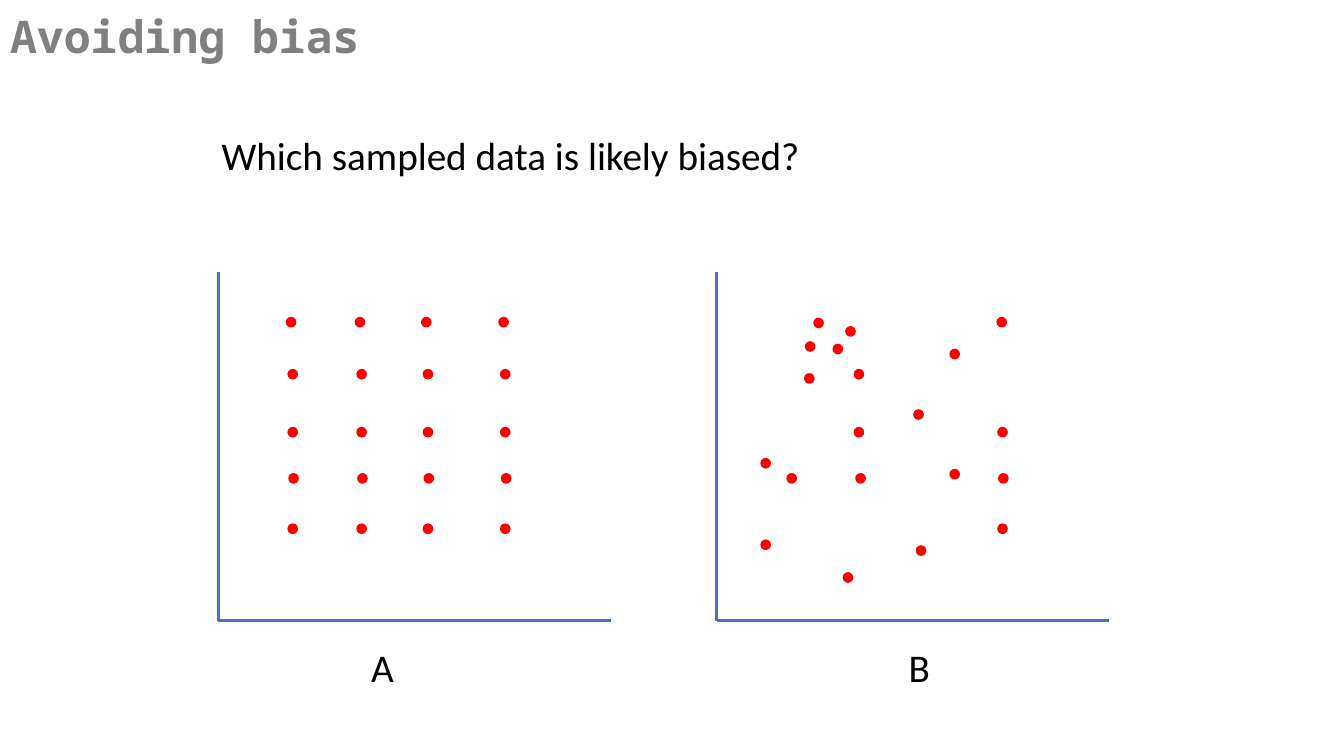
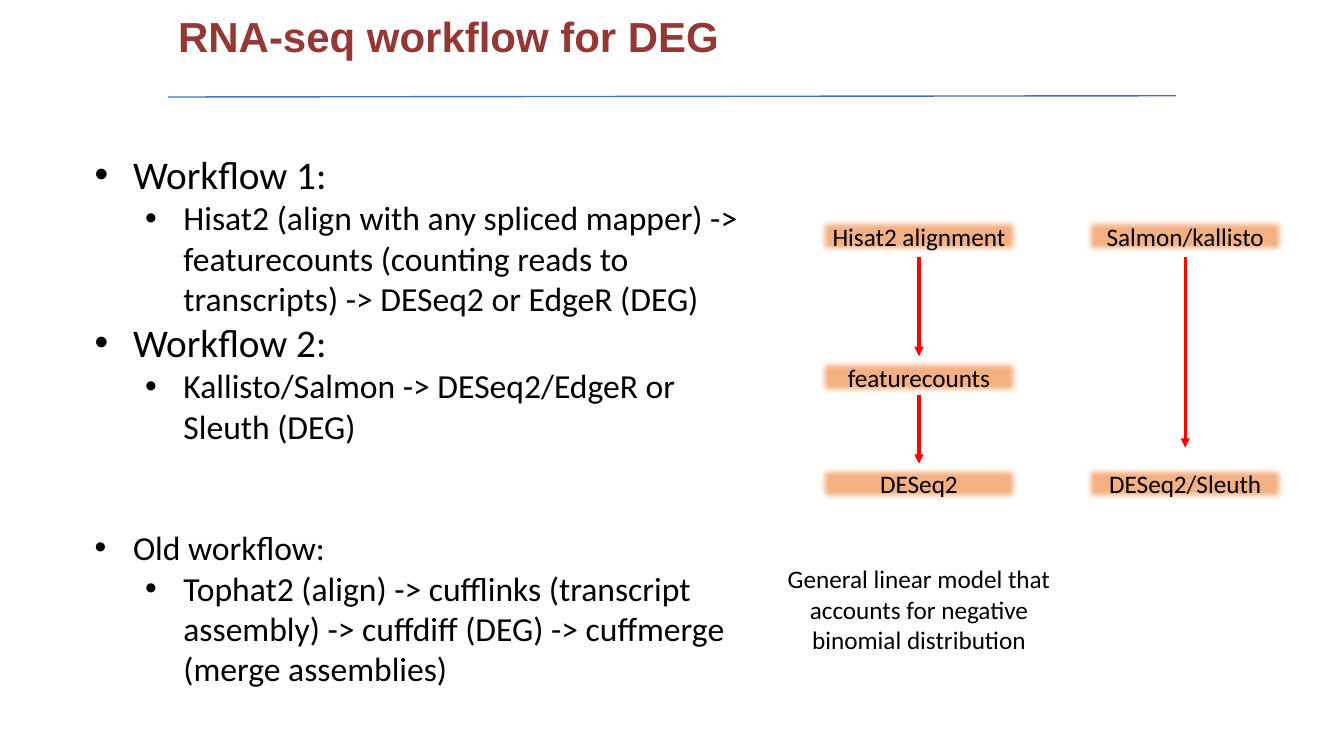
"""Builds two slides, on sampling bias and on an RNA-seq workflow."""
from dataclasses import dataclass
from itertools import product

from lxml import etree
from pptx import Presentation
from pptx import util as u
from pptx.dml.color import RGBColor
from pptx.enum import shapes, text
from pptx.oxml import ns

COLUMNS, ROWS = 160, 90
CELL = u.Inches(7.5) / ROWS


@dataclass(frozen=True)
class Theme:
    """Colours, fonts and type sizes in points."""
    ink: str = "000000"
    accent: str = "4472C4"
    red: str = "FF0000"
    step: str = "F4B183"
    body_font: str = "Calibri"
    large: int = 28
    medium: int = 24
    small: int = 18


@dataclass(frozen=True)
class Box:
    """A place on the grid, in columns and rows."""
    left: float
    top: float
    width: float
    height: float


@dataclass(frozen=True)
class Heading:
    """A slide title with its own style."""
    wording: str
    box: Box
    font: str
    size: int
    color: str
    spacing: float = 1.0


@dataclass(frozen=True)
class Panel:
    """A pair of axes with dots placed from the top of its vertical axis."""
    letter: str
    left: float
    letter_offset: float
    dots: tuple


@dataclass(frozen=True)
class Bullet:
    """One line of the workflow list."""
    wording: str
    size: int
    level: int = 0
    before: int = 0


@dataclass(frozen=True)
class Arrow:
    """A vertical arrow between two steps."""
    column: float
    start: float
    end: float


THEME = Theme()

BIAS = Heading("Avoiding bias", Box(0, 1.1, 158, 16.4), "Noto Sans Mono", 32, "808080", 0.9)
WORKFLOW = Heading("RNA-seq workflow for DEG", Box(20, 0.6, 122, 7.3), "Arial", 30, "953735")

AXIS_TOP, AXIS_BOTTOM, AXIS_WIDTH, DOT = 32.4, 73.9, 46.7, 1.1
EVEN_COLUMNS = (8.1, 16.3, 24.2, 33.4)
EVEN_ROWS = ((5.4, 0), (11.6, 0.2), (18.5, 0.2), (24, 0.3), (30, 0.2))
EVEN_DOTS = tuple((x + nudge, y) for x, (y, nudge) in product(EVEN_COLUMNS, EVEN_ROWS))
SCATTERED_DOTS = (
    (10.6, 8.3), (10.5, 12.1), (5.3, 22.2), (8.4, 24), (5.3, 31.9),
    (11.6, 5.5), (16.4, 11.6), (16.4, 18.5), (16.6, 24), (15.1, 35.8),
    (15.4, 6.5), (23.5, 16.4), (13.9, 8.6), (27.8, 23.5), (23.8, 32.6),
    (33.4, 5.4), (27.8, 9.2), (33.5, 18.5), (33.6, 24), (33.5, 30),
)
PANELS = (Panel("A", 26, 17, EVEN_DOTS), Panel("B", 85.3, 21.7, SCATTERED_DOTS))

BULLETS = (
    Bullet("Workflow 1:", THEME.large),
    Bullet("Hisat2 (align with any spliced mapper) -> featurecounts (counting reads to "
           "transcripts) -> DESeq2 or EdgeR (DEG)", THEME.medium, 1),
    Bullet("Workflow 2:", THEME.large),
    Bullet("Kallisto/Salmon -> DESeq2/EdgeR or Sleuth (DEG)", THEME.medium, 1),
    Bullet("Old workflow:", THEME.medium, before=58),
    Bullet("Tophat2 (align) -> cufflinks (transcript assembly) -> cuffdiff (DEG) -> "
           "cuffmerge (merge assemblies)", THEME.medium, 1),
)

STEP_WIDTH, STEP_HEIGHT = 24.4, 4.8
FIRST, SECOND, THIRD = 25.7, 42.5, 55.2
ALIGNED, PSEUDO = 97.2, 128.9
STEPS = (
    ("Hisat2 alignment", ALIGNED, FIRST),
    ("featurecounts", ALIGNED, SECOND),
    ("DESeq2", ALIGNED, THIRD),
    ("Salmon/kallisto", PSEUDO, FIRST),
    ("DESeq2/Sleuth", PSEUDO, THIRD),
)
ARROWS = (Arrow(ALIGNED, 30.6, 42.4), Arrow(ALIGNED, 47, 55.2), Arrow(PSEUDO, 30.6, 53.3))


def cells(*counts: float) -> list:
    """Turn grid counts into lengths."""
    return [u.Emu(round(count * CELL)) for count in counts]


def place(box: Box) -> list:
    """Give a box as left, top, width and height."""
    return cells(box.left, box.top, box.width, box.height)


def child(parent, tag: str, **attributes: str):
    """Append a DrawingML element."""
    return etree.SubElement(parent, ns.qn(tag), attributes)


def style(paragraph, size: int, color: str = THEME.ink, font: str = THEME.body_font,
          bold: bool = False) -> None:
    """Set the font of a paragraph."""
    paragraph.font.name = font
    paragraph.font.size = u.Pt(size)
    paragraph.font.bold = bold
    paragraph.font.color.rgb = RGBColor.from_string(color)


def add_heading(slide, heading: Heading) -> None:
    """Place and format the title placeholder."""
    title = slide.shapes.title
    title.left, title.top, title.width, title.height = place(heading.box)
    frame = title.text_frame
    frame.text = heading.wording
    frame.auto_size = text.MSO_AUTO_SIZE.NONE
    frame.vertical_anchor = text.MSO_ANCHOR.TOP
    paragraph = frame.paragraphs[0]
    paragraph.alignment = text.PP_ALIGN.LEFT
    paragraph.line_spacing = heading.spacing
    style(paragraph, heading.size, heading.color, heading.font, True)


def add_label(slide, wording: str, box: Box, size: int, align=text.PP_ALIGN.LEFT) -> None:
    """Add a wrapped one-paragraph text box."""
    frame = slide.shapes.add_textbox(*place(box)).text_frame
    frame.word_wrap = True
    frame.text = wording
    frame.paragraphs[0].alignment = align
    style(frame.paragraphs[0], size)


def add_line(slide, start: tuple, end: tuple, color: str, width: float, arrow: bool = False) -> None:
    """Draw a straight line, with an arrowhead at its end if asked."""
    line = slide.shapes.add_connector(shapes.MSO_CONNECTOR.STRAIGHT, *cells(*start, *end))
    line.line.color.rgb = RGBColor.from_string(color)
    line.line.width = u.Pt(width)
    if arrow:
        child(line.line._get_or_add_ln(), "a:tailEnd", type="triangle")
    child(line._element.spPr, "a:effectLst")


def add_filled(slide, kind, box: Box, color: str):
    """Add a filled shape without outline or shadow."""
    shape = slide.shapes.add_shape(kind, *place(box))
    shape.shadow.inherit = False
    shape.fill.solid()
    shape.fill.fore_color.rgb = RGBColor.from_string(color)
    shape.line.fill.background()
    return shape


def add_panel(slide, panel: Panel) -> None:
    """Draw the axes, dots and letter of one sample."""
    corner = (panel.left, AXIS_BOTTOM)
    for end in ((panel.left, AXIS_TOP), (panel.left + AXIS_WIDTH, AXIS_BOTTOM)):
        add_line(slide, end, corner, THEME.accent, 2.25)
    for x, y in panel.dots:
        dot = add_filled(slide, shapes.MSO_SHAPE.OVAL,
                         Box(panel.left + x, AXIS_TOP + y, DOT, DOT), THEME.red)
        dot.line.color.rgb = RGBColor.from_string(THEME.red)
        dot.line.width = u.Pt(1)
    add_label(slide, panel.letter, Box(panel.left + panel.letter_offset, 76, 7.3, 6.8), THEME.large)


def add_step(slide, wording: str, left: float, top: float) -> None:
    """Draw one soft-edged workflow step."""
    step = add_filled(slide, shapes.MSO_SHAPE.RECTANGLE,
                      Box(left, top, STEP_WIDTH, STEP_HEIGHT), THEME.step)
    child(step._element.spPr.find(ns.qn("a:effectLst")), "a:softEdge", rad="63500")
    step.text_frame.text = wording
    step.text_frame.paragraphs[0].alignment = text.PP_ALIGN.CENTER
    style(step.text_frame.paragraphs[0], THEME.small)


def add_bullets(slide, bullets: tuple, box: Box) -> None:
    """Write the two-level workflow list."""
    frame = slide.shapes.add_textbox(*place(box)).text_frame
    frame.word_wrap = True
    for index, bullet in enumerate(bullets):
        paragraph = frame.add_paragraph() if index else frame.paragraphs[0]
        paragraph.text = bullet.wording
        paragraph.level = bullet.level
        if bullet.before:
            paragraph.space_before = u.Pt(bullet.before)
        properties = paragraph._p.get_or_add_pPr()
        properties.set("marL", str(u.Inches(0.38 + 0.5 * bullet.level)))
        properties.set("indent", str(-u.Inches(0.38)))
        child(properties, "a:buFont", typeface="Arial")
        child(properties, "a:buChar", char="•")
        style(paragraph, bullet.size)


def build_bias(slide) -> None:
    """Compare an even sample with a scattered one."""
    add_heading(slide, BIAS)
    add_label(slide, "Which sampled data is likely biased?", Box(25.2, 15, 109.6, 6.8), THEME.large)
    for panel in PANELS:
        add_panel(slide, panel)


def build_workflow(slide) -> None:
    """List the workflows beside their flow chart."""
    add_heading(slide, WORKFLOW)
    add_line(slide, (20, 11.55), (140, 11.4), THEME.accent, 1)
    add_bullets(slide, BULLETS, Box(10.1, 17.3, 80.2, 65.9))
    for step in STEPS:
        add_step(slide, *step)
    for arrow in ARROWS:
        center = arrow.column + STEP_WIDTH / 2
        add_line(slide, (center, arrow.start), (center, arrow.end), THEME.red, 2.25, True)
    add_label(slide, "General linear model that accounts for negative binomial distribution",
              Box(91.8, 66.5, 35.2, 12.1), THEME.small, text.PP_ALIGN.CENTER)


def main() -> None:
    """Build and save the presentation."""
    deck = Presentation()
    deck.slide_width, deck.slide_height = cells(COLUMNS, ROWS)
    for build in (build_bias, build_workflow):
        build(deck.slides.add_slide(deck.slide_layouts[5]))
    deck.save("out.pptx")


if __name__ == "__main__":
    main()
